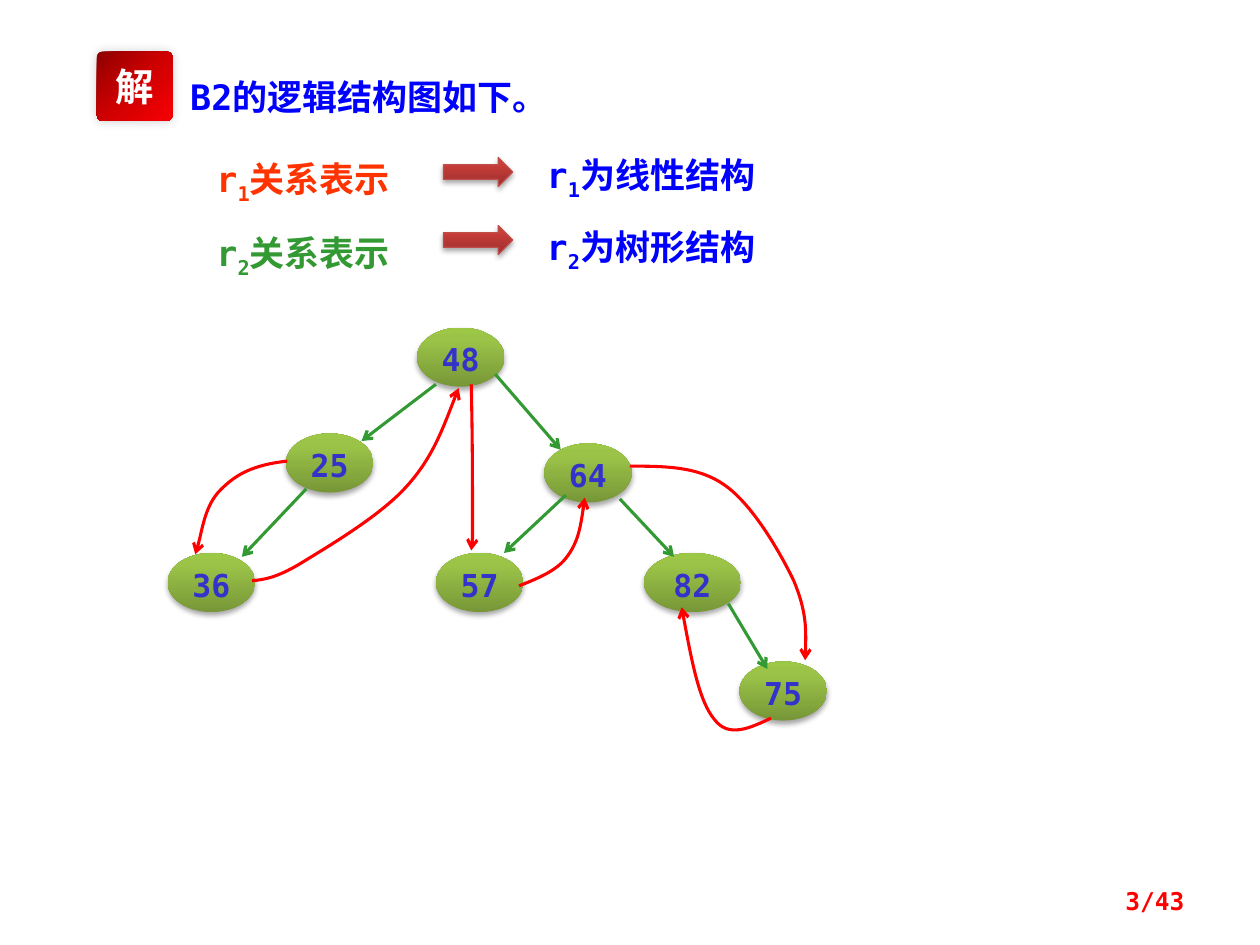
from lxml import etree
from pptx import Presentation
from pptx.dml.color import RGBColor
from pptx.enum import shapes, text
from pptx.oxml import ns
from pptx.util import Pt

BLUE = RGBColor(0x00, 0x00, 0xFF)
INDIGO = RGBColor(0x33, 0x33, 0xCC)
GREEN = RGBColor(0x33, 0x99, 0x33)
ORANGE = RGBColor(0xFF, 0x33, 0x00)
RED = RGBColor(0xFF, 0x00, 0x00)
WHITE = RGBColor(0xFF, 0xFF, 0xFF)
ROSE = RGBColor(0xBF, 0x4C, 0x48)
LEAF_STOPS = [(0, "779737"), (80, "9BC348"), (100, "9DC746")]
BRICK_STOPS = [(0, "9C2F2D"), (80, "CB3E3A"), (100, "CE3B37")]
BADGE_STOPS = [(0, "8F0000"), (50, "CF0001"), (100, "F60004")]
MONO, CJK = "DejaVu Sans Mono", "Noto Sans CJK SC"


def shade(shape, stops, angle=90, alpha=35, blur=3.1, distance=1.8, direction=90):
    """Give a shape a gradient and an outer shadow."""
    shape.line.fill.background()
    shape.fill.gradient()
    shape.fill.gradient_angle = angle
    props = shape._element.spPr
    stop_list = props.find(".//" + ns.qn("a:gsLst"))
    for stop in list(stop_list):
        stop_list.remove(stop)
    for position, color in stops:
        stop = etree.SubElement(stop_list, ns.qn("a:gs"), pos=str(position * 1000))
        etree.SubElement(stop, ns.qn("a:srgbClr"), val=color)
    shape.shadow.inherit = False
    shadow = etree.SubElement(
        props.find(ns.qn("a:effectLst")), ns.qn("a:outerShdw"), blurRad=str(Pt(blur)),
        dist=str(Pt(distance)), dir=str(direction * 60000), rotWithShape="0")
    tint = etree.SubElement(shadow, ns.qn("a:srgbClr"), val="000000")
    etree.SubElement(tint, ns.qn("a:alpha"), val=str(alpha * 1000))


def write(box, words, size, color, name=MONO, align=text.PP_ALIGN.LEFT):
    """Fill one paragraph; a part after each "_" starts with a subscript digit."""
    para = box.text_frame.paragraphs[0]
    para.alignment = align
    font = para.font
    font.size, font.bold, font.name = Pt(size), True, name
    font.color.rgb = color
    etree.SubElement(font._element, ns.qn("a:ea"), typeface=CJK)
    head, mark, rest = words.partition("_")
    para.add_run().text = head
    if mark:
        span = para.add_run()
        span.text = rest[0]
        span.font._element.set("baseline", "-25000")
        para.add_run().text = rest[1:]
    return para


deck = Presentation()
deck.slide_width, deck.slide_height = Pt(720), Pt(540)
page = deck.slides.add_slide(deck.slide_layouts[5])

# Title
title = page.shapes.title
title.left, title.top, title.width, title.height = Pt(101.5), Pt(39.6), Pt(382), Pt(27)
title.text_frame.vertical_anchor = text.MSO_ANCHOR.TOP
title.text_frame.auto_size = text.MSO_AUTO_SIZE.NONE
write(title, "B2的逻辑结构图如下。", 20, BLUE)

# Tree nodes: label, left, top, width
nodes = [
    ("48", 238.3, 187.2, 50), ("25", 163.4, 247.7, 50), ("36", 95.8, 316, 50),
    ("64", 311, 253.4, 50), ("57", 249.1, 316, 50), ("82", 368, 316, 55.4),
    ("75", 422.6, 378, 50),
]
for label, left, top, width in nodes:
    node = page.shapes.add_shape(
        shapes.MSO_SHAPE.OVAL, Pt(left), Pt(top), Pt(width), Pt(33.8))
    shade(node, LEAF_STOPS)
    frame = node.text_frame
    frame.margin_left = frame.margin_right = frame.margin_top = frame.margin_bottom = 0
    frame.vertical_anchor = text.MSO_ANCHOR.MIDDLE
    para = write(node, label, 18, INDIGO, align=text.PP_ALIGN.CENTER)
    para.line_spacing = 1.1

# Statements about the relations: words, color, left, top, width, top margin
statements = [
    ("r_1关系表示", ORANGE, 116.6, 84.2, 153.4, 5.8),
    ("r_2关系表示", GREEN, 116.6, 126.7, 153.4, 5.8),
    ("r_1为线性结构", BLUE, 305.3, 84.2, 185.8, 3.6),
    ("r_2为树形结构", BLUE, 305.3, 125.3, 185.8, 3.6),
]
for words, color, left, top, width, margin in statements:
    box = page.shapes.add_textbox(Pt(left), Pt(top), Pt(width), Pt(27))
    box.text_frame.word_wrap = True
    box.text_frame.margin_top = Pt(margin)
    write(box, words, 20, color)

# Block arrows between the statements
for top in (90, 128.9):
    arrow = page.shapes.add_shape(
        shapes.MSO_SHAPE.RIGHT_ARROW, Pt(253.4), Pt(top), Pt(39.6), Pt(16.6))
    shade(arrow, BRICK_STOPS)
    arrow.line.color.rgb = ROSE
    arrow.line.width = Pt(0.75)

# Tree edges (relation r2)
edges = [
    (249.1, 219.6, 206.6, 252), (175, 279.4, 138.2, 318.2), (283, 213.8, 320.4, 257),
    (354.2, 285.1, 385.2, 318.2), (323.3, 283, 288, 316), (416.2, 344.9, 438.5, 382.3),
]
links = []
for ends in edges:
    edge = page.shapes.add_connector(
        shapes.MSO_CONNECTOR.STRAIGHT, *[Pt(value) for value in ends])
    links.append((edge, GREEN))

# Linear order (relation r1): start point, then three points per Bezier segment
curves = [
    [(164.2, 263.5), (144, 265.7), (134.6, 271.4), (126, 280),
     (117.4, 288.7), (114.5, 308.9), (111.6, 316.8)],
    [(144, 331.9), (150.5, 331.2), (157.7, 330.5), (172.1, 321.8),
     (187.2, 312.5), (216.7, 295.2), (231.8, 278.6),
     (247, 262.1), (254.2, 241.9), (262.1, 221.8)],
    [(269.3, 219.6), (270, 249.8), (270, 280.1), (270, 295.9),
     (270, 311.8), (270, 313.2), (269.3, 314.6)],
    [(296.6, 334.8), (307.4, 330.5), (318.2, 326.2), (324, 318.2),
     (330.5, 309.6), (332.6, 296.6), (334.1, 284.4)],
    [(440.6, 410.4), (428.4, 416.2), (416.2, 421.9), (408.2, 411.1),
     (399.6, 401), (394.6, 374.4), (389.5, 347)],
    [(360, 266.4), (379.4, 266.4), (398.9, 266.4), (414, 277.2),
     (429.8, 288), (445.7, 315.4), (453.6, 331.9),
     (460.8, 349.2), (460.8, 363.6), (460.1, 377.3)],
]
for points in curves:
    start, *others = [(Pt(x), Pt(y)) for x, y in points]
    builder = page.shapes.build_freeform(*start)
    builder.add_line_segments(others, close=False)
    curve = builder.convert_to_shape()
    curve.fill.background()
    outline = curve._element.find(".//" + ns.qn("a:path"))
    steps = outline.findall(ns.qn("a:lnTo"))
    for first in range(0, len(steps), 3):
        bezier = etree.SubElement(outline, ns.qn("a:cubicBezTo"))
        for step in steps[first:first + 3]:
            bezier.append(step[0])
            outline.remove(step)
    links.append((curve, RED))

# Line style and arrowheads shared by both relations
for link, color in links:
    link.line.color.rgb = color
    link.line.width = Pt(1.75)
    props = link._element.spPr
    etree.SubElement(props.find(ns.qn("a:ln")), ns.qn("a:tailEnd"), type="arrow")
    etree.SubElement(props, ns.qn("a:effectLst"))

# Page number
number = page.shapes.add_textbox(Pt(516.2), Pt(500.4), Pt(167.8), Pt(28.8))
number.text_frame.word_wrap = True
number.text_frame.vertical_anchor = text.MSO_ANCHOR.MIDDLE
write(number, "3/43", 14, RED, align=text.PP_ALIGN.RIGHT)

# Solution badge
badge = page.shapes.add_shape(
    shapes.MSO_SHAPE.ROUNDED_RECTANGLE, Pt(55.4), Pt(29.5), Pt(43.2), Pt(39.6))
badge.adjustments[0] = 0.08
shade(badge, BADGE_STOPS, angle=315, alpha=20, blur=6, distance=0, direction=225)
badge.text_frame.word_wrap = False
badge.text_frame.vertical_anchor = text.MSO_ANCHOR.MIDDLE
write(badge, "解", 22, WHITE, CJK, text.PP_ALIGN.CENTER)

deck.save("out.pptx")
